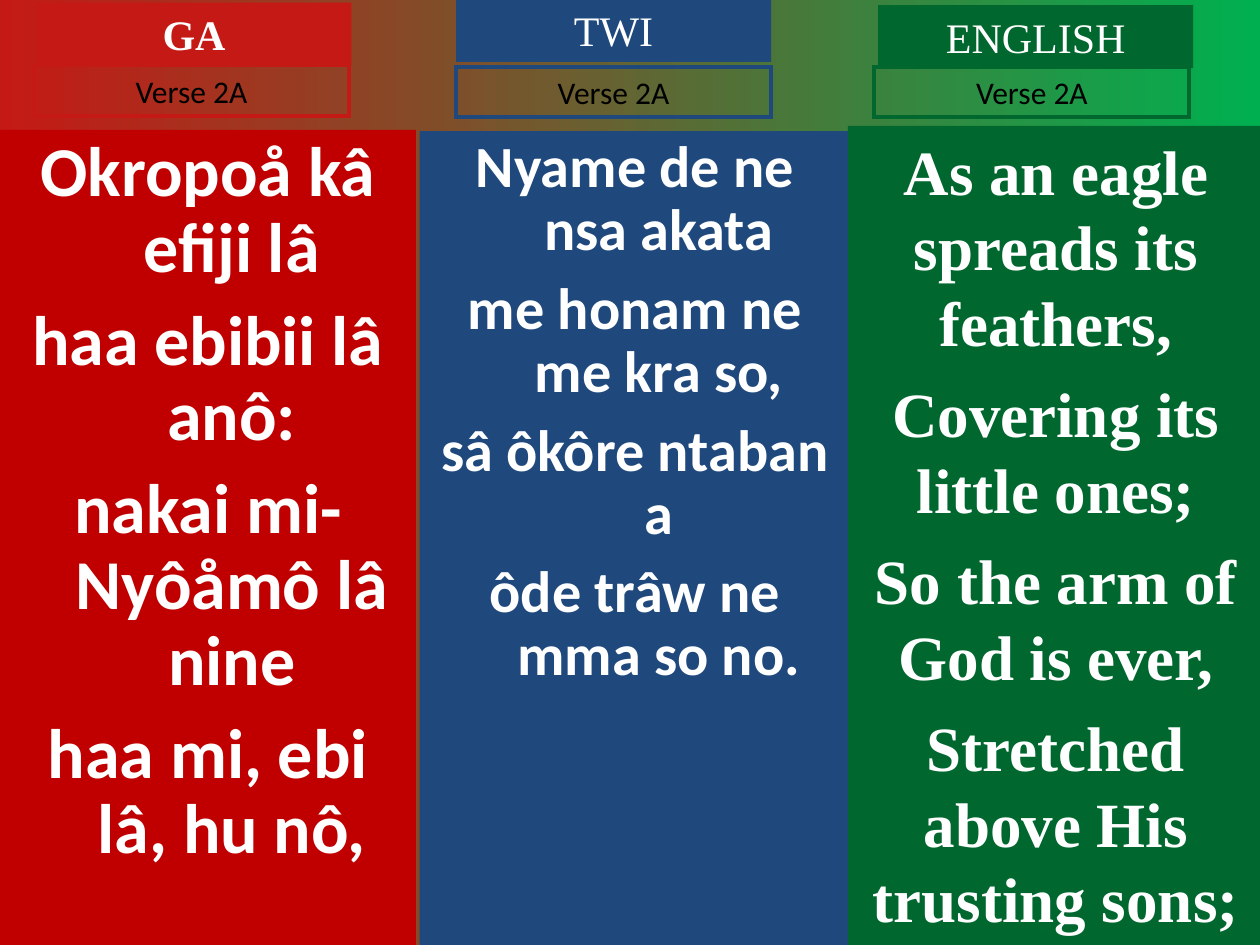
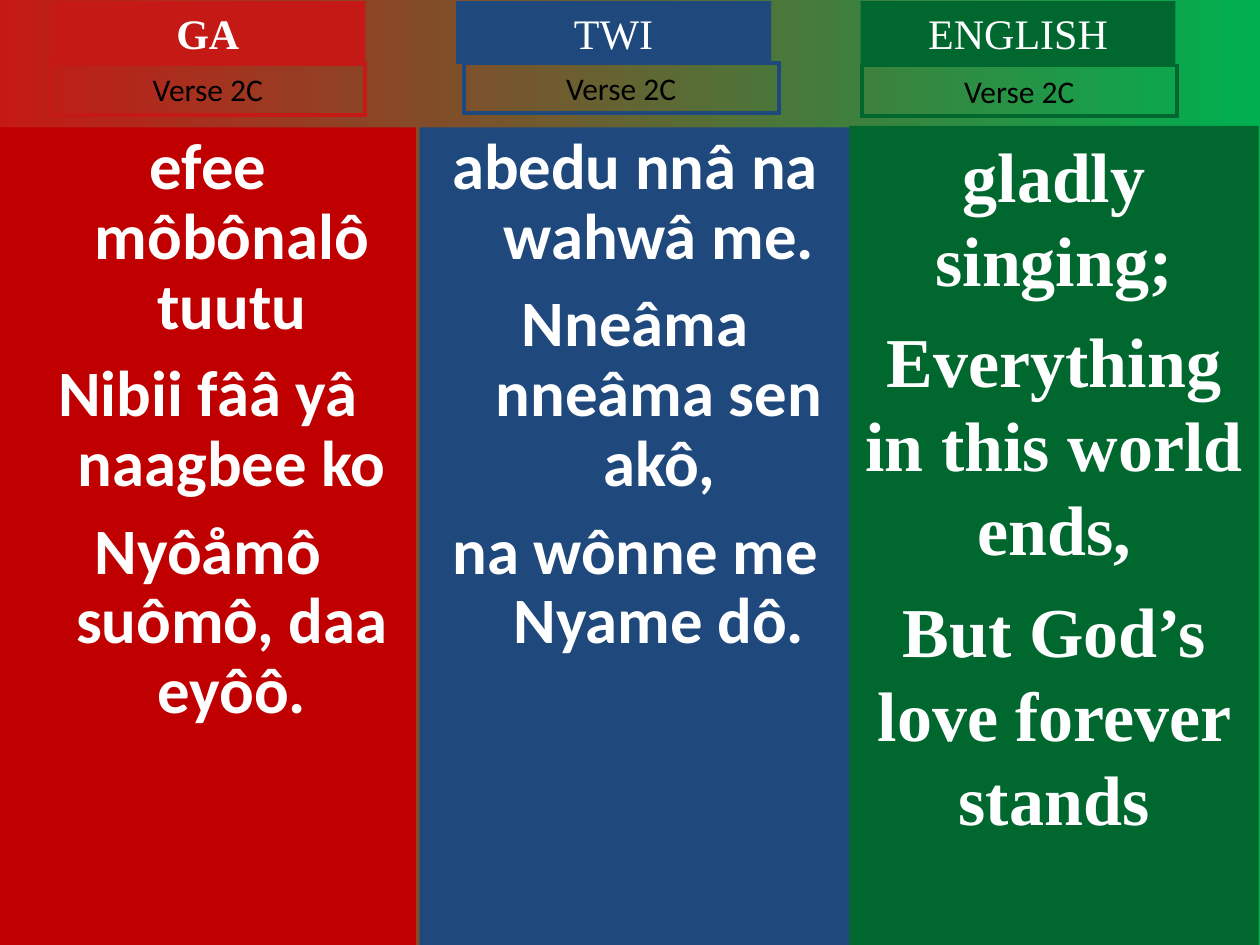
from pptx import Presentation
from pptx.dml.color import RGBColor
from pptx.enum.shapes import MSO_SHAPE
from pptx.enum.text import MSO_ANCHOR, MSO_AUTO_SIZE, PP_ALIGN
from pptx.oxml.ns import qn
from pptx.util import Inches, Pt

RECT = MSO_SHAPE.RECTANGLE
TOP = MSO_ANCHOR.TOP
FIXED = MSO_AUTO_SIZE.NONE
MID = PP_ALIGN.CENTER

# Page and a grid of 100 columns by 100 rows
deck = Presentation()
deck.slide_width, deck.slide_height = Inches(10), Inches(7.5)
COL = deck.slide_width / 100
ROW = deck.slide_height / 100
HEAD_W, HEAD_H, TAG_H = 25, 6.67, 5.33

# Shared look
SANS, SERIF = "Calibri", "Times New Roman"
WHITE, BLACK = "FFFFFF", "000000"
FADE = ["C51915", "00B050"]
# Language, header colour, body colour, header bold, body font, line spacing
TONGUES = [
    ("GA", "C51915", "C00000", True, SANS, 0.9),
    ("TWI", "1F497D", "1F497D", False, SANS, 0.9),
    ("ENGLISH", "00682F", "00682F", False, SERIF, 1.0),
]

# Each column: header place, tag place, body (left, top, width),
# text size, space before, lines
VERSES = [
    ("Verse 2A", [
        ((2.9, 0.27), (2.7, 6.93), (0, 13.73, 33), 40, 10,
         ["Okropoå kâ efiji lâ", "haa ebibii lâ anô:",
          "nakai mi-Nyôåmô lâ nine", "haa mi, ebi lâ, hu nô,"]),
        ((36.2, -0.13), (36.2, 7.07), (33.3, 13.87, 34.2), 33.3, 9,
         ["Nyame de ne nsa akata", "me honam ne me kra so,",
          "sâ ôkôre ntaban a", "ôde trâw ne mma so no."]),
        ((69.7, 0.53), (69.4, 7.07), (67.3, 13.33, 33), 36, 9,
         ["As an eagle spreads its feathers,", "Covering its little ones;",
          "So the arm of God is ever,", "Stretched above His trusting sons;"]),
    ]),
    ("Verse 2C", [
        ((4, 0.13), (4, 6.8), (0, 13.47, 33), 37, 10,
         ["efee môbônalô tuutu", "Nibii fââ yâ naagbee ko",
          "Nyôåmô suômô, daa eyôô."]),
        ((36.2, 0.13), (36.8, 6.67), (33.3, 13.47, 34.2), 37, 10,
         ["abedu nnâ na wahwâ me.", "Nneâma nneâma sen akô,",
          "na wônne me Nyame dô."]),
        ((68.3, 0.13), (68.4, 6.93), (67.4, 13.33, 32.5), 40, 10,
         ["gladly singing;", "Everything in this world ends,",
          "But God’s love forever stands"]),
    ]),
]


def tint(code):
    return RGBColor.from_string(code)


def panel(shape, place, fill, edge, lines, font, size, ink, bold, gap=0, lead=1.0):
    """Place a box, colour it and write its centred lines."""
    left, top, wide, high = place
    shape.left, shape.width = round(left * COL), round(wide * COL)
    shape.top, shape.height = round(top * ROW), round(high * ROW)
    if fill:
        shape.fill.solid()
        shape.fill.fore_color.rgb = tint(fill)
    else:
        shape.fill.background()
    if edge:
        shape.line.color.rgb = tint(edge)
        shape.line.width = Pt(2.25)
        # Square corners on the outline
        line_xml = shape.line._get_or_add_ln()
        line_xml.append(line_xml.makeelement(qn("a:miter"), {"lim": "800000"}))
    else:
        shape.line.fill.background()
    frame = shape.text_frame
    frame.word_wrap, frame.auto_size = True, FIXED
    frame.vertical_anchor = TOP
    for i, line in enumerate(lines):
        para = frame.add_paragraph() if i else frame.paragraphs[0]
        para.alignment, para.line_spacing = MID, lead
        para.space_before = Pt(gap if i else 0)
        if shape.is_placeholder:
            props = para._p.get_or_add_pPr()
            props.set("marL", str(Inches(0.38)))
            props.set("indent", str(Inches(-0.38)))
            props.append(props.makeelement(qn("a:buNone"), {}))
        run = para.add_run()
        run.text = line
        run.font.name, run.font.size = font, Pt(size)
        run.font.bold, run.font.color.rgb = bold, tint(ink)


for verse, columns in VERSES:
    slide = deck.slides.add_slide(deck.slide_layouts[3])
    title = slide.shapes.title
    title.element.getparent().remove(title.element)

    # Red to green background
    back = slide.background.fill
    back.gradient()
    back.gradient_angle = 0
    for stop, code, spot in zip(back.gradient_stops, FADE, (0, 1)):
        stop.color.rgb = tint(code)
        stop.position = spot

    lists = list(slide.placeholders)
    for i, (tongue, column) in enumerate(zip(TONGUES, columns)):
        name, hue, deep, bold, font, lead = tongue
        head, tag, (left, top, wide), size, gap, lines = column
        boxes = [slide.shapes.add_shape(RECT, 0, 0, 0, 0)
                 for _ in range(2 if i < len(lists) else 3)]
        for box in boxes:
            box.shadow.inherit = False

        # Verse text, language header, verse tag
        body = lists[i] if i < len(lists) else boxes.pop(0)
        panel(body, (left, top, wide, 100 - top), deep, None,
              lines, font, size, WHITE, True, gap, lead)
        panel(boxes[0], (*head, HEAD_W, HEAD_H), hue, None,
              [name], SERIF, 24, WHITE, bold)
        panel(boxes[1], (*tag, HEAD_W, TAG_H), None, hue,
              [verse], SANS, 18, BLACK, False)

deck.save("out.pptx")
